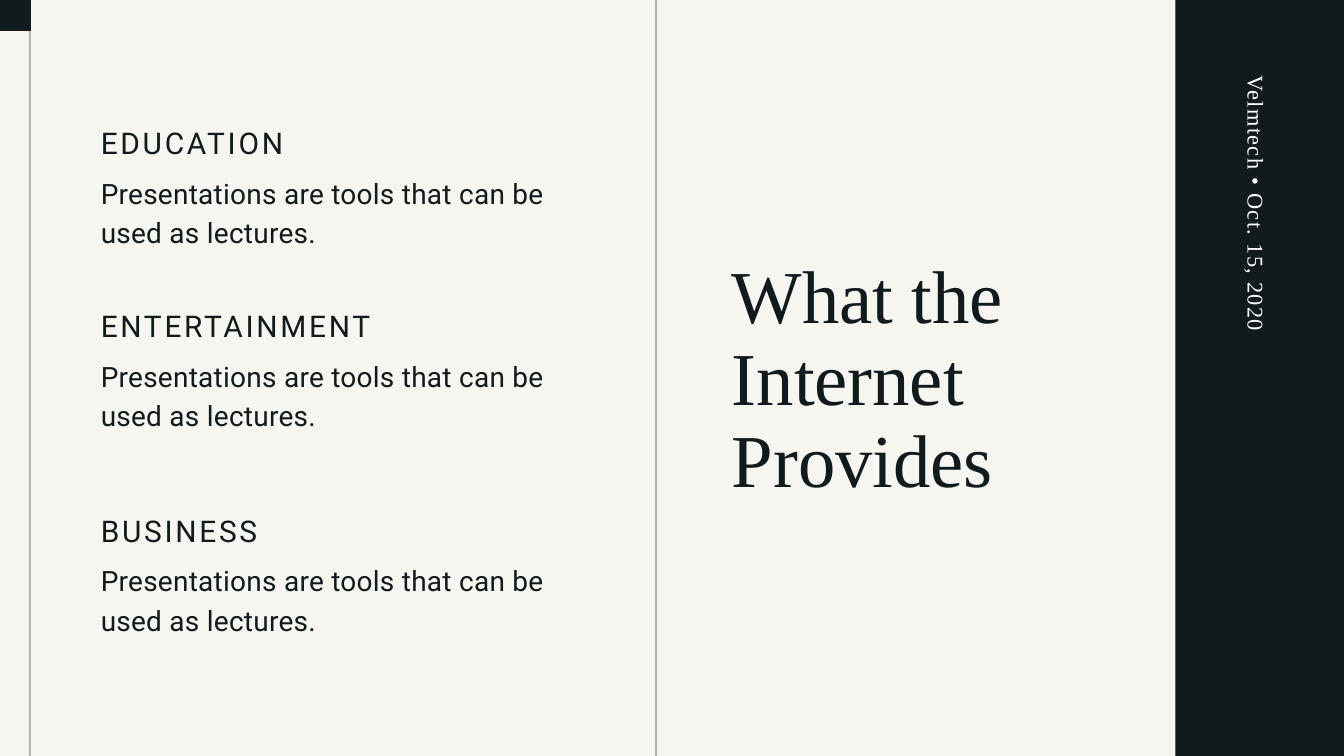
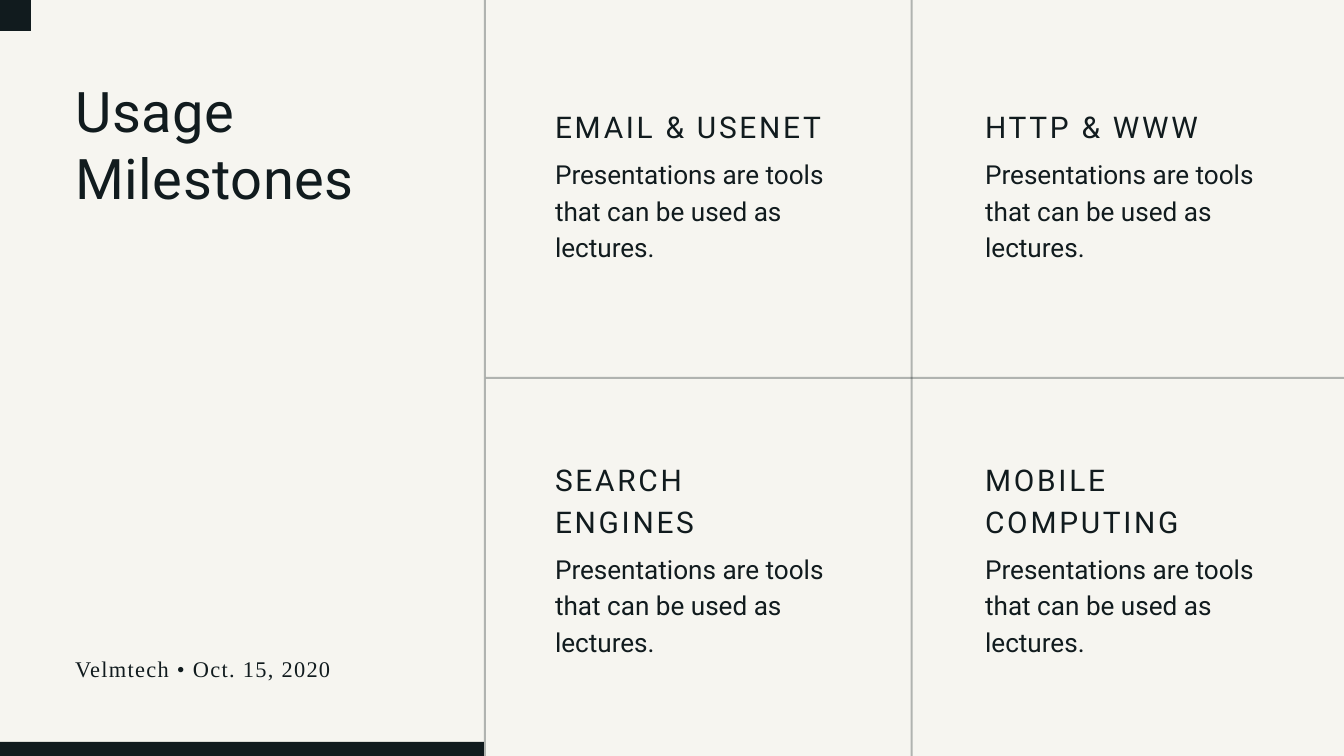
from dataclasses import dataclass

from lxml import etree
from pptx import Presentation, util as u
from pptx.dml import color
from pptx.enum import shapes, text
from pptx.oxml import ns

PX = 9144  # 100 px to the inch
PAGE_WIDTH, PAGE_HEIGHT = 2000, 1125
RULE = 3
DATELINE = "Velmtech • Oct. 15, 2020"
BLURB = "Presentations are tools that can be used as lectures."


@dataclass(frozen=True)
class Style:
    """Type style; size, leading and tracking are in points."""
    font: str
    size: int
    leading: float
    tracking: float = 0


@dataclass(frozen=True)
class Theme:
    ink: str = "111B1E"
    paper: str = "F6F5F0"
    white: str = "FFFFFF"
    rule_opacity: int = 30
    display: Style = Style("Times New Roman", 80, 88)
    title: Style = Style("Roboto", 60, 72, 0.6)
    heading: Style = Style("Roboto", 32, 44.8, 2.9)
    body: Style = Style("Roboto", 30, 42, 0.3)
    small_body: Style = Style("Roboto", 28, 39.2)
    dateline: Style = Style("Times New Roman", 24, 33.6, 1.4)


THEME = Theme()


def emu(*lengths):
    return [u.Emu(length * PX) for length in lengths]


def add_text(parent, frame, words, style, ink=THEME.ink):
    box = parent.shapes.add_textbox(*emu(*frame))
    body = box.text_frame
    body.word_wrap = True
    body.auto_size = text.MSO_AUTO_SIZE.SHAPE_TO_FIT_TEXT
    body.margin_left = body.margin_top = body.margin_right = body.margin_bottom = 0
    body.text = words
    for para in body.paragraphs:
        para.line_spacing = u.Pt(style.leading)
        for span in para.runs:
            span.font.name = style.font
            span.font.size = u.Pt(style.size)
            span.font.color.rgb = color.RGBColor.from_string(ink)
            if style.tracking:
                span._r.get_or_add_rPr().set("spc", str(round(style.tracking * 100)))
    return box


def add_block(page, frame, opacity=100):
    block = page.shapes.add_shape(shapes.MSO_SHAPE.RECTANGLE, *emu(*frame))
    block.shadow.inherit = False
    block.line.fill.background()
    block.fill.solid()
    block.fill.fore_color.rgb = color.RGBColor.from_string(THEME.ink)
    if opacity < 100:
        ink = block._element.spPr.find(".//" + ns.qn("a:srgbClr"))
        etree.SubElement(ink, ns.qn("a:alpha"), val=str(opacity * 1000))


def add_vertical_rule(page, left):
    add_block(page, (left, 0, RULE, PAGE_HEIGHT), THEME.rule_opacity)


def add_horizontal_rule(page, left, top):
    add_block(page, (left, top, PAGE_WIDTH - left, RULE), THEME.rule_opacity)


def add_corner(page):
    add_block(page, (0, 0, 46, 46))


def add_entry(page, frame, heading, heading_height, gap, body_style):
    """Group a heading with the blurb that fills the rest of the frame."""
    left, top, width, height = frame
    offset = heading_height + gap
    group = page.shapes.add_group_shape()
    add_text(group, (left, top, width, heading_height), heading, THEME.heading)
    add_text(group, (left, top + offset, width, height - offset), BLURB, body_style)


def add_page(deck):
    page = deck.slides.add_slide(deck.slide_layouts[6])
    page.background.fill.solid()
    page.background.fill.fore_color.rgb = color.RGBColor.from_string(THEME.paper)
    return page


def add_side_band(page, left):
    """Dark right-hand band with the dateline turned to read downwards."""
    add_block(page, (left, 0, PAGE_WIDTH - left, PAGE_HEIGHT))
    length, height = 752, 45
    center_x, center_y = left + 125, 488
    frame = (center_x - length // 2, center_y - height // 2, length, height)
    add_text(page, frame, DATELINE, THEME.dateline, THEME.white).rotation = 90


def build_provides_page(deck):
    page = add_page(deck)
    add_text(page, (1089, 381, 551, 370), "What the Internet Provides", THEME.display)
    entries = {"EDUCATION": 177, "ENTERTAINMENT": 449, "BUSINESS": 754}
    for heading, top in entries.items():
        add_entry(page, (150, top, 680, 190), heading, 58, 19, THEME.body)
    for left in (43, 975):
        add_vertical_rule(page, left)
    add_side_band(page, 1749)
    add_corner(page)


def add_title_panel(page, width):
    """Left panel with title, dateline and dark foot."""
    margin, foot = 112, 1104
    add_text(page, (margin, 114, 490, 197), "Usage Milestones", THEME.title)
    add_text(page, (margin, 968, 490, 45), DATELINE, THEME.dateline)
    add_block(page, (0, foot, width, PAGE_HEIGHT - foot))
    add_vertical_rule(page, width)
    add_corner(page)


def add_milestone_grid(page, left):
    add_horizontal_rule(page, left, 561)
    add_vertical_rule(page, 1355)
    rows = [
        (153, 58, ("EMAIL & USENET", "HTTP & WWW")),
        (678, 120, ("SEARCH\nENGINES", "MOBILE COMPUTING")),
    ]
    gap, body_height = 17, 158
    for top, heading_height, headings in rows:
        for column, heading in enumerate(headings):
            frame = (left + 103 + column * 640, top, 422, heading_height + gap + body_height)
            add_entry(page, frame, heading, heading_height, gap, THEME.small_body)


def build_milestones_page(deck):
    page = add_page(deck)
    panel_width = 720
    add_milestone_grid(page, panel_width + RULE)
    add_title_panel(page, panel_width)


def main():
    deck = Presentation()
    deck.slide_width, deck.slide_height = emu(PAGE_WIDTH, PAGE_HEIGHT)
    build_provides_page(deck)
    build_milestones_page(deck)
    deck.save("out.pptx")


if __name__ == "__main__":
    main()
